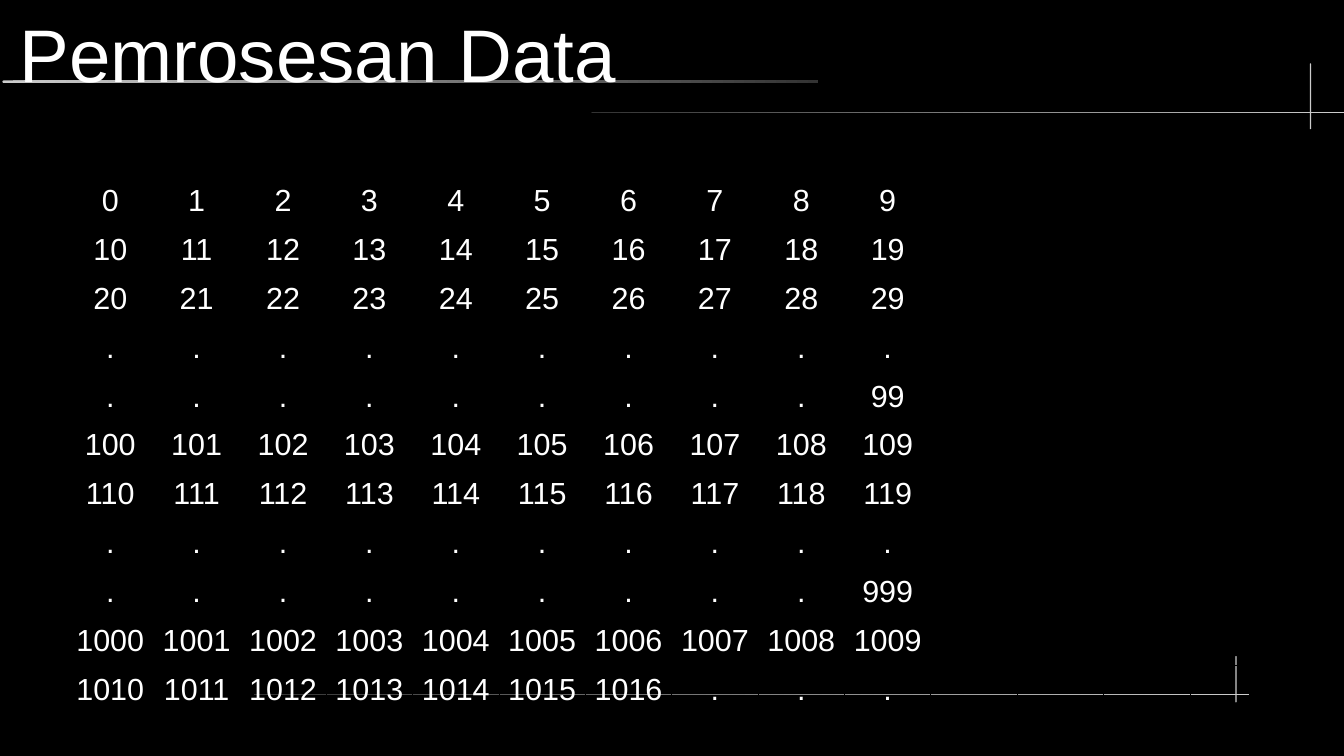
from dataclasses import dataclass
from typing import Optional

from lxml.etree import SubElement
from pptx import Presentation
from pptx.dml.color import RGBColor as RGB
from pptx.enum.shapes import MSO_SHAPE as Shape
from pptx.enum.text import MSO_ANCHOR as Anchor, PP_ALIGN as Align
from pptx.oxml.ns import qn
from pptx.util import Emu, Inches, Pt


@dataclass(frozen=True)
class Theme:
    back: RGB = RGB(0x00, 0x00, 0x00)
    text: RGB = RGB(0xFF, 0xFF, 0xFF)
    bright: RGB = RGB(0xCC, 0xCC, 0xCC)
    dim: RGB = RGB(0x33, 0x33, 0x33)
    font: str = "Arial"
    title_size: float = 44
    cell_size: float = 18
    border: float = 0.57


@dataclass(frozen=True)
class Area:
    """Left, top, width and height in percent of the slide."""
    x: float
    y: float
    w: float
    h: float


@dataclass(frozen=True)
class Rule:
    area: Area
    start: RGB
    end: RGB


@dataclass(frozen=True)
class NumberRow:
    first: Optional[int] = None  # None gives a row of dots
    count: int = 10
    last: str = "."

    def labels(self) -> list[str]:
        if self.first is None:
            return ["."] * (DIGITS - 1) + [self.last]
        numbers = [str(self.first + i) for i in range(self.count)]
        return numbers + ["."] * (DIGITS - self.count)


@dataclass(frozen=True)
class Span:
    row: int
    col: int
    width: int


THEME = Theme()
WIDTH, HEIGHT = Inches(11.02), Inches(6.2)
DIGITS, COLUMNS = 10, 14

TITLE_AREA = Area(1.45, 1.29, 94.65, 11.45)
TABLE_AREA = Area(4.99, 23.39, 90.02, 70.97)
RULES = [
    Rule(Area(0.18, 10.65, 60.71, 0.32), THEME.bright, THEME.dim),
    Rule(Area(44.01, 14.84, 55.99, 0.16), THEME.dim, THEME.bright),
    Rule(Area(97.46, 8.39, 0.09, 8.71), THEME.bright, THEME.bright),
    Rule(Area(18.87, 91.77, 74.05, 0.16), THEME.dim, THEME.bright),
    Rule(Area(91.92, 86.77, 0.09, 6.13), THEME.bright, THEME.bright),
]
ROWS = [
    NumberRow(0), NumberRow(10), NumberRow(20),
    NumberRow(), NumberRow(last="99"),
    NumberRow(100), NumberRow(110),
    NumberRow(), NumberRow(last="999"),
    NumberRow(1000), NumberRow(1010, count=7),
]
SPANS = [Span(0, 11, 3), Span(2, 12, 2), Span(4, 10, 2)]
CELL_FORMAT = {
    "margin_left": Inches(0.04), "margin_right": Inches(0.04),
    "margin_top": Inches(0.05), "margin_bottom": Inches(0.05),
    "vertical_anchor": Anchor.MIDDLE,
}
TITLE_FORMAT = {
    "margin_left": 0, "margin_right": 0, "margin_top": 0, "margin_bottom": 0,
    "vertical_anchor": Anchor.MIDDLE, "word_wrap": True,
}


def place(a: Area) -> tuple[Emu, Emu, Emu, Emu]:
    return (Emu(round(WIDTH * a.x / 100)), Emu(round(HEIGHT * a.y / 100)),
            Emu(round(WIDTH * a.w / 100)), Emu(round(HEIGHT * a.h / 100)))


def apply(target, values: dict) -> None:
    for name, value in values.items():
        setattr(target, name, value)


def write(p, text: str, size: float) -> None:
    r = p.add_run()
    r.text = text
    apply(r.font, {"name": THEME.font, "size": Pt(size)})
    r.font.color.rgb = THEME.text


def draw_rule(s, rule: Rule) -> None:
    sp = s.shapes.add_shape(Shape.ROUNDED_RECTANGLE, *place(rule.area))
    sp.adjustments[0] = 0.5
    sp.shadow.inherit = False
    sp.line.fill.background()
    if rule.start == rule.end:
        sp.fill.solid()
        sp.fill.fore_color.rgb = rule.start
    else:
        sp.fill.gradient()
        sp.fill.gradient_angle = 0
        for stop, color in zip(sp.fill.gradient_stops, (rule.start, rule.end)):
            stop.color.rgb = color


def draw_title(s, text: str) -> None:
    tf = s.shapes.add_textbox(*place(TITLE_AREA)).text_frame
    apply(tf, TITLE_FORMAT)
    write(tf.paragraphs[0], text, THEME.title_size)


def add_borders(cell) -> None:
    props = cell._tc.get_or_add_tcPr()
    for side in ("a:lnL", "a:lnR", "a:lnT", "a:lnB"):
        line = SubElement(props, qn(side), w=str(Pt(THEME.border)))
        fill = SubElement(line, qn("a:solidFill"))
        SubElement(fill, qn("a:srgbClr"), val=str(THEME.back))


def draw_table(s) -> None:
    frame = s.shapes.add_table(len(ROWS), COLUMNS, *place(TABLE_AREA))
    table = frame.table
    apply(table, {"first_row": False, "horz_banding": False})
    for i, row in enumerate(ROWS):
        labels = row.labels()
        for j in range(COLUMNS):
            cell = table.cell(i, j)
            apply(cell, CELL_FORMAT)
            add_borders(cell)
            cell.fill.background()
            p = cell.text_frame.paragraphs[0]
            p.alignment = Align.CENTER
            if j < len(labels):
                write(p, labels[j], THEME.cell_size)
    for span in SPANS:
        end = table.cell(span.row, span.col + span.width - 1)
        table.cell(span.row, span.col).merge(end)


def main() -> None:
    prs = Presentation()
    apply(prs, {"slide_width": WIDTH, "slide_height": HEIGHT})
    s = prs.slides.add_slide(prs.slide_layouts[6])

    # Background and decorative rules
    s.background.fill.solid()
    s.background.fill.fore_color.rgb = THEME.back
    for rule in RULES:
        draw_rule(s, rule)

    # Title and number table
    draw_title(s, "Pemrosesan Data")
    draw_table(s)
    prs.save("out.pptx")


if __name__ == "__main__":
    main()
